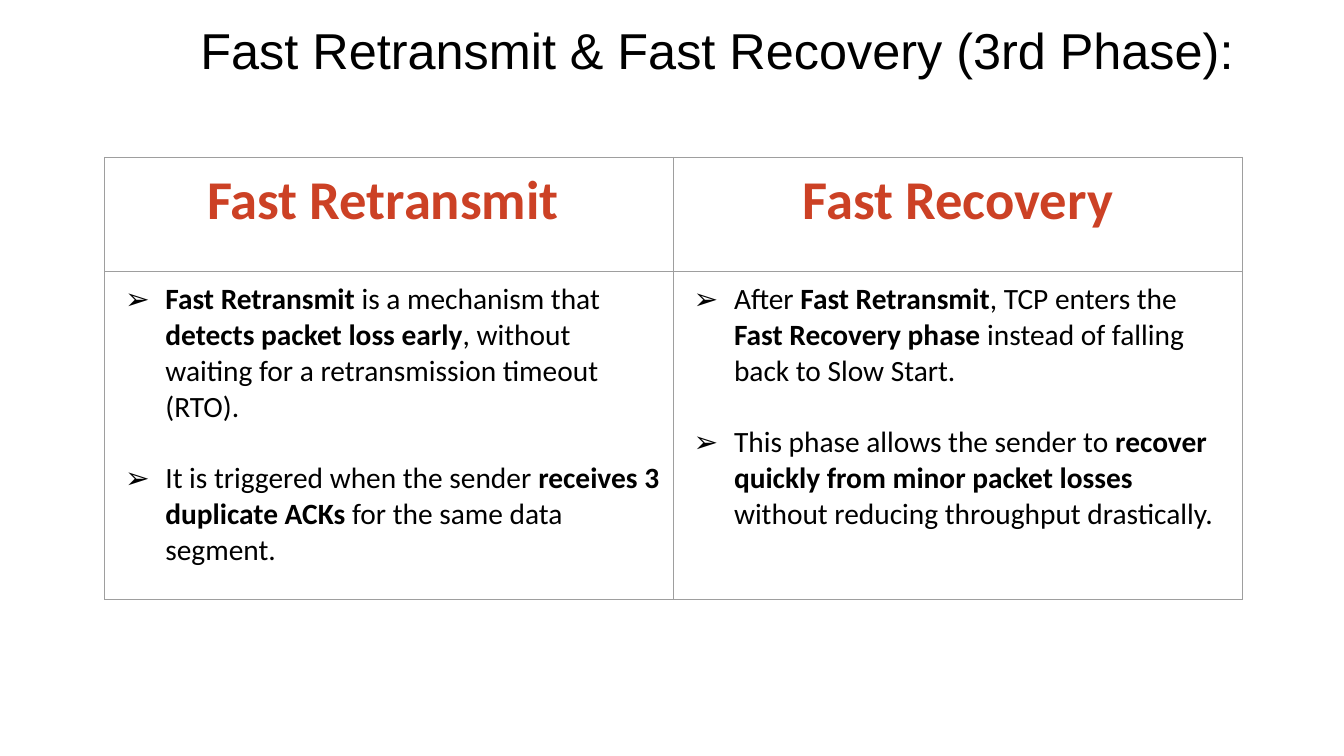
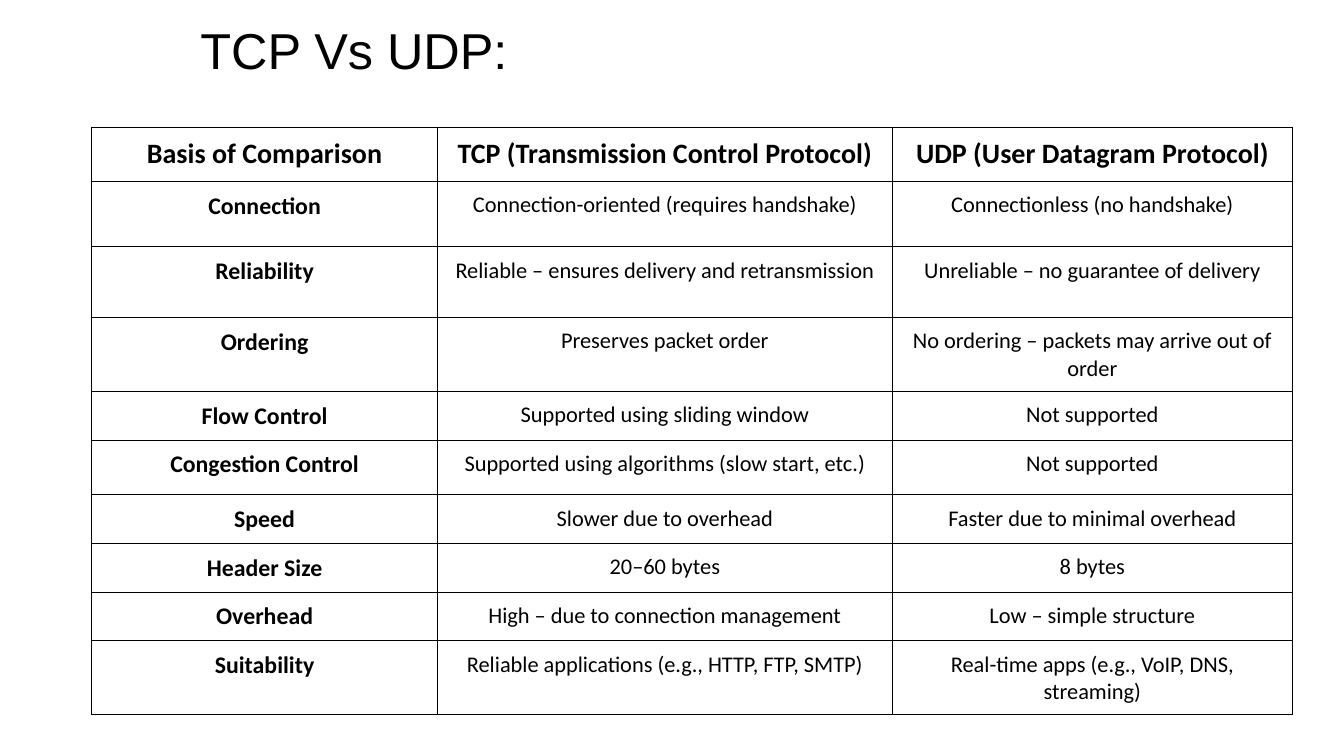
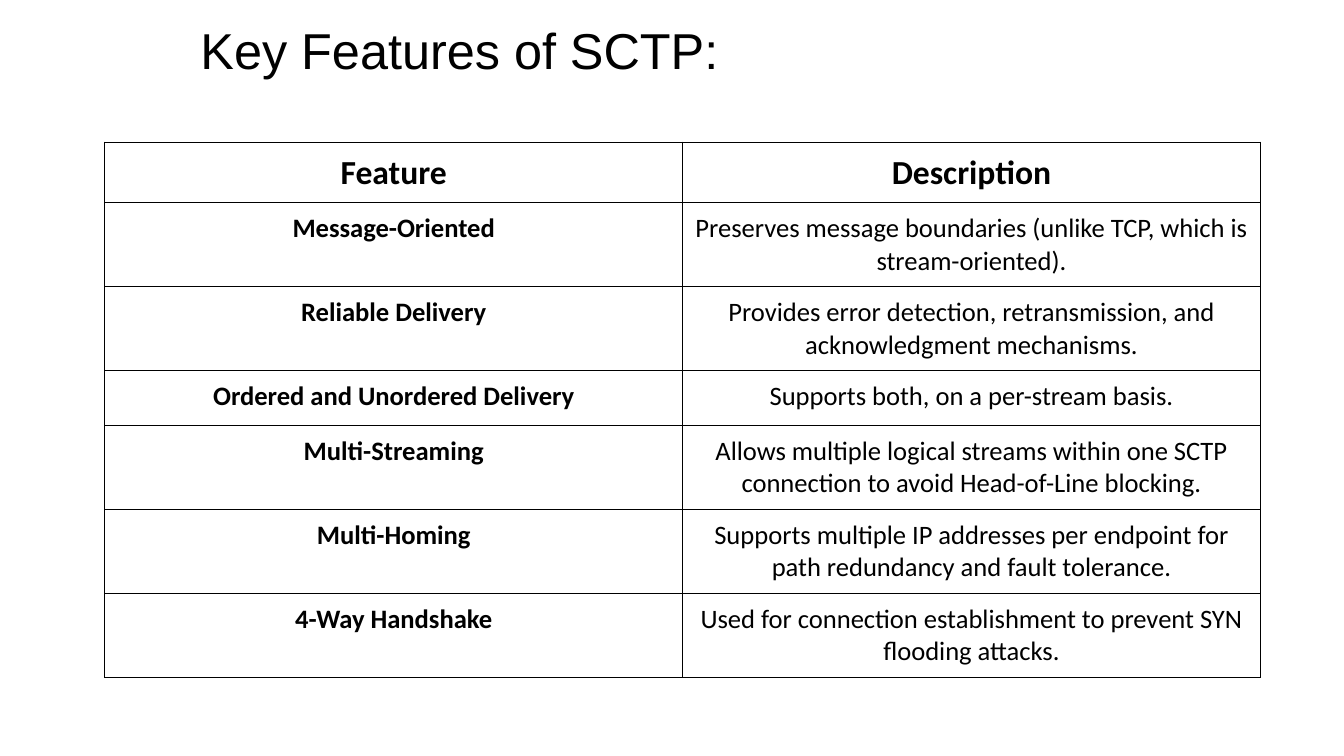
from lxml import etree
from pptx import Presentation
from pptx.dml.color import RGBColor
from pptx.enum import text
from pptx.oxml import ns
from pptx.util import Emu, Pt

PX = 9144  # 100 px to the inch
INK, RED, GREY = "000000", "CC4125", "9E9E9E"
HEAD, BODY = "Arial", "Calibri"
BULLET = "➢"
LEAD = 25.6  # one line of the 21 pt list, in points

PHASES = [
    ("Fast Retransmit ", [
        "**Fast Retransmit** is a mechanism that **detects packet loss early**, "
        "without waiting for a retransmission timeout (RTO).",
        "It is triggered when the sender **receives 3 duplicate ACKs** "
        "for the same data segment."]),
    ("Fast Recovery", [
        "After **Fast Retransmit**, TCP enters the **Fast Recovery phase** "
        "instead of falling back to Slow Start.",
        "This phase allows the sender to **recover quickly from minor packet losses** "
        "without reducing throughput drastically."]),
]

VERSUS = [
    ("Basis of Comparison", "TCP (Transmission Control Protocol)", "UDP (User Datagram Protocol)"),
    ("Connection", "Connection-oriented (requires handshake)", "Connectionless (no handshake)"),
    ("Reliability", "Reliable – ensures delivery and retransmission",
     "Unreliable – no guarantee of delivery"),
    ("Ordering", "Preserves packet order", "No ordering – packets may arrive out of order"),
    ("Flow Control", "Supported using sliding window", "Not supported"),
    ("Congestion Control", "Supported using algorithms (slow start, etc.)", "Not supported"),
    ("Speed", "Slower due to overhead", "Faster due to minimal overhead"),
    ("Header Size", "20–60 bytes", "8 bytes"),
    ("Overhead", "High – due to connection management", "Low – simple structure"),
    ("Suitability", "Reliable applications (e.g., HTTP, FTP, SMTP)",
     "Real-time apps (e.g., VoIP, DNS, streaming)"),
]

TRAITS = [
    ("Feature", "Description"),
    ("Message-Oriented", "Preserves message boundaries (unlike TCP, which is stream-oriented)."),
    ("Reliable Delivery",
     "Provides error detection, retransmission, and acknowledgment mechanisms."),
    ("Ordered and Unordered Delivery", "Supports both, on a per-stream basis."),
    ("Multi-Streaming",
     "Allows multiple logical streams within one SCTP connection "
     "to avoid Head-of-Line blocking."),
    ("Multi-Homing",
     "Supports multiple IP addresses per endpoint for path redundancy and fault tolerance."),
    ("4-Way Handshake", "Used for connection establishment to prevent SYN flooding attacks."),
]


def px(n):
    return Emu(n * PX)


def paint(color):
    return RGBColor.from_string(color)


def child(node, tag, **attrs):
    return etree.SubElement(node, ns.qn(tag), attrs)


def write(para, words, size, color=INK, face=BODY, bold=False):
    run = para.add_run()
    run.text = words
    run.font.size = Pt(size)
    run.font.name = face
    run.font.bold = bold
    run.font.color.rgb = paint(color)


# Title, shared by all slides
def title(slide, words):
    box = slide.shapes.add_textbox(px(189), px(14), px(1116), px(71))
    frame = box.text_frame
    frame.word_wrap = True
    frame.auto_size = text.MSO_AUTO_SIZE.SHAPE_TO_FIT_TEXT
    write(frame.paragraphs[0], words, 36, face=HEAD)


# Empty ruled table without fills
def grid(slide, left, top, cols, rows, color):
    table = slide.shapes.add_table(len(rows), len(cols), px(left), px(top),
                                   px(sum(cols)), px(sum(rows))).table
    table.first_row = table.horz_banding = False
    for col, wide in zip(table.columns, cols):
        col.width = px(wide)
    for row, high in zip(table.rows, rows):
        row.height = px(high)
    for cell in table.iter_cells():
        cell.margin_left = cell.margin_right = px(10)
        cell.margin_top = cell.margin_bottom = px(10)
        rule(cell, color)
        cell.fill.background()
    return table


def rule(cell, color):
    props = cell._tc.get_or_add_tcPr()
    for side in ("a:lnL", "a:lnR", "a:lnT", "a:lnB"):
        line = child(props, side, w=str(Pt(0.75)))
        child(child(line, "a:solidFill"), "a:srgbClr", val=color)


def center(cell, words, size, color=INK, bold=False):
    para = cell.text_frame.paragraphs[0]
    para.alignment = text.PP_ALIGN.CENTER
    write(para, words, size, color, bold=bold)


# Bulleted list, with **bold** parts
def points(cell, items):
    frame = cell.text_frame
    for n, item in enumerate(items):
        para = frame.add_paragraph() if n else frame.paragraphs[0]
        props = para._p.get_or_add_pPr()
        props.set("marL", str(px(50)))
        props.set("indent", str(px(-40)))
        child(child(props, "a:buClr"), "a:srgbClr", val=INK)
        child(props, "a:buFont", typeface=BODY)
        child(props, "a:buChar", char=BULLET)
        if n:
            para.space_before = Pt(LEAD)
        for k, part in enumerate(item.split("**")):
            if part:
                write(para, part, 21, bold=k % 2 == 1)


# Two columns, each a heading over a list
def phases(slide, left, top):
    table = grid(slide, left, top, [564] * 2, [113, 326], GREY)
    for n, (name, items) in enumerate(PHASES):
        center(table.cell(0, n), name, 39, RED, True)
        points(table.cell(1, n), items)


# Centred table with bold header row and first column
def matrix(slide, left, top, cols, rows, data, sizes):
    head, key, body = sizes
    table = grid(slide, left, top, cols, rows, INK)
    for r, line in enumerate(data):
        for c, words in enumerate(line):
            size = head if r == 0 else key if c == 0 else body
            center(table.cell(r, c), words, size, bold=r == 0 or c == 0)


def main():
    deck = Presentation()
    deck.slide_width, deck.slide_height = px(1333), px(750)

    def page(words):
        slide = deck.slides.add_slide(deck.slide_layouts[6])
        title(slide, words)
        return slide

    phases(page("Fast Retransmit & Fast Recovery (3rd Phase):"), 104, 156)
    matrix(page("TCP Vs UDP:"), 91, 126, [343, 451, 397],
           [54, 65, 70, 73, 48, 54, 48, 48, 48, 73], VERSUS, (20, 17, 16))
    matrix(page("Key Features of SCTP:"), 104, 141, [573] * 2,
           [60, 83, 83, 54, 83, 83, 83], TRAITS, (24, 19, 19))
    deck.save("out.pptx")


if __name__ == "__main__":
    main()
